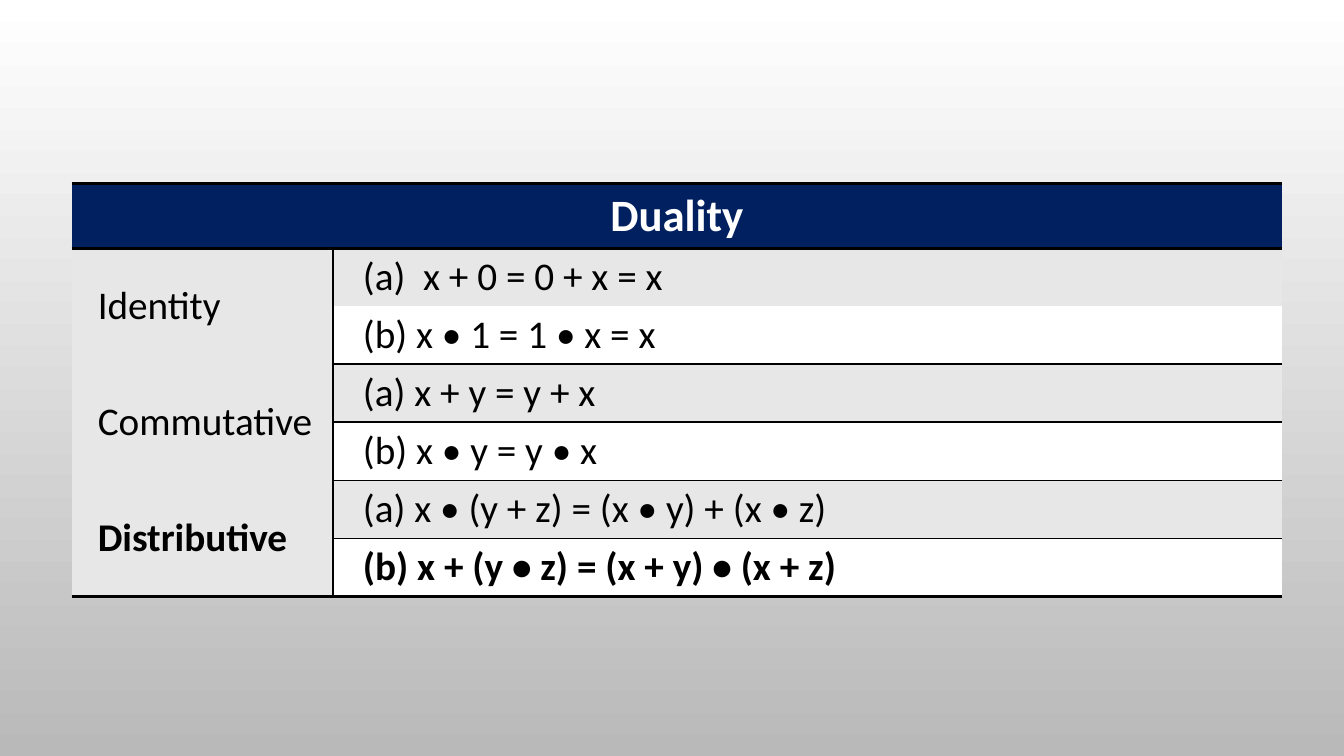
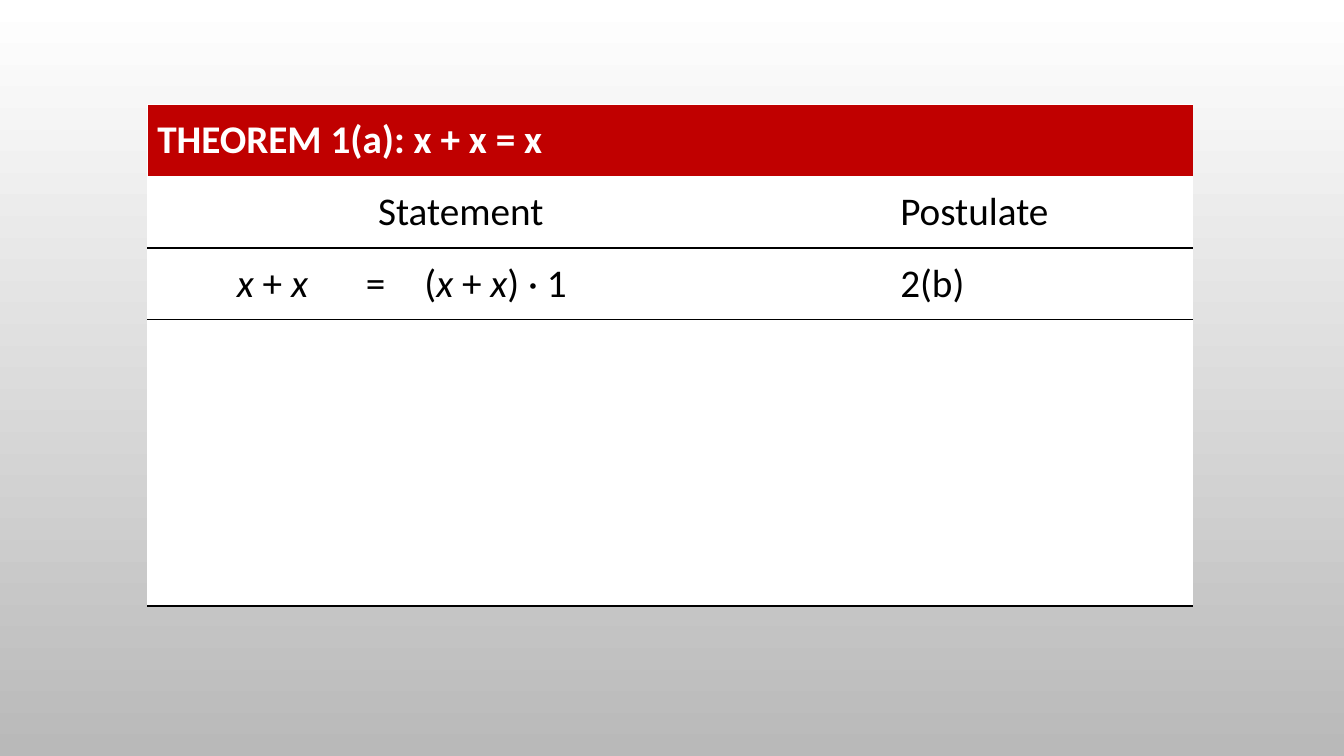
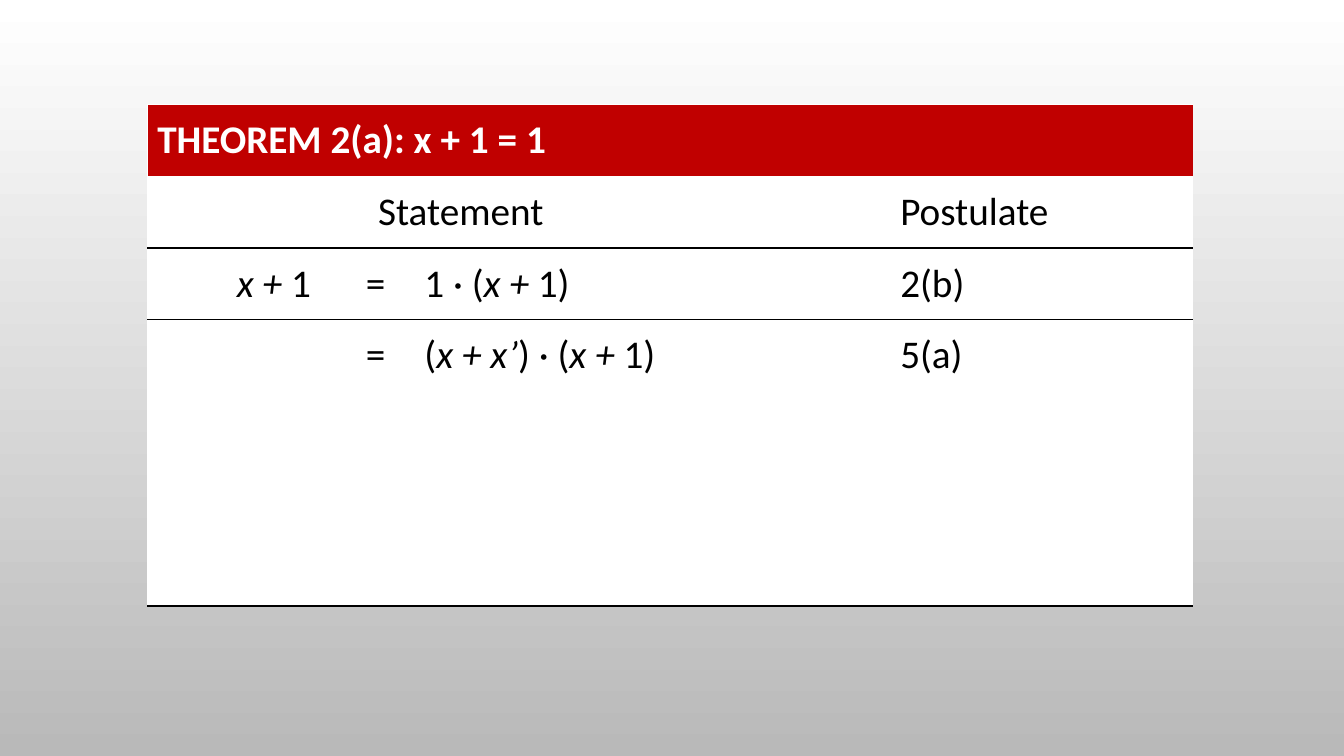
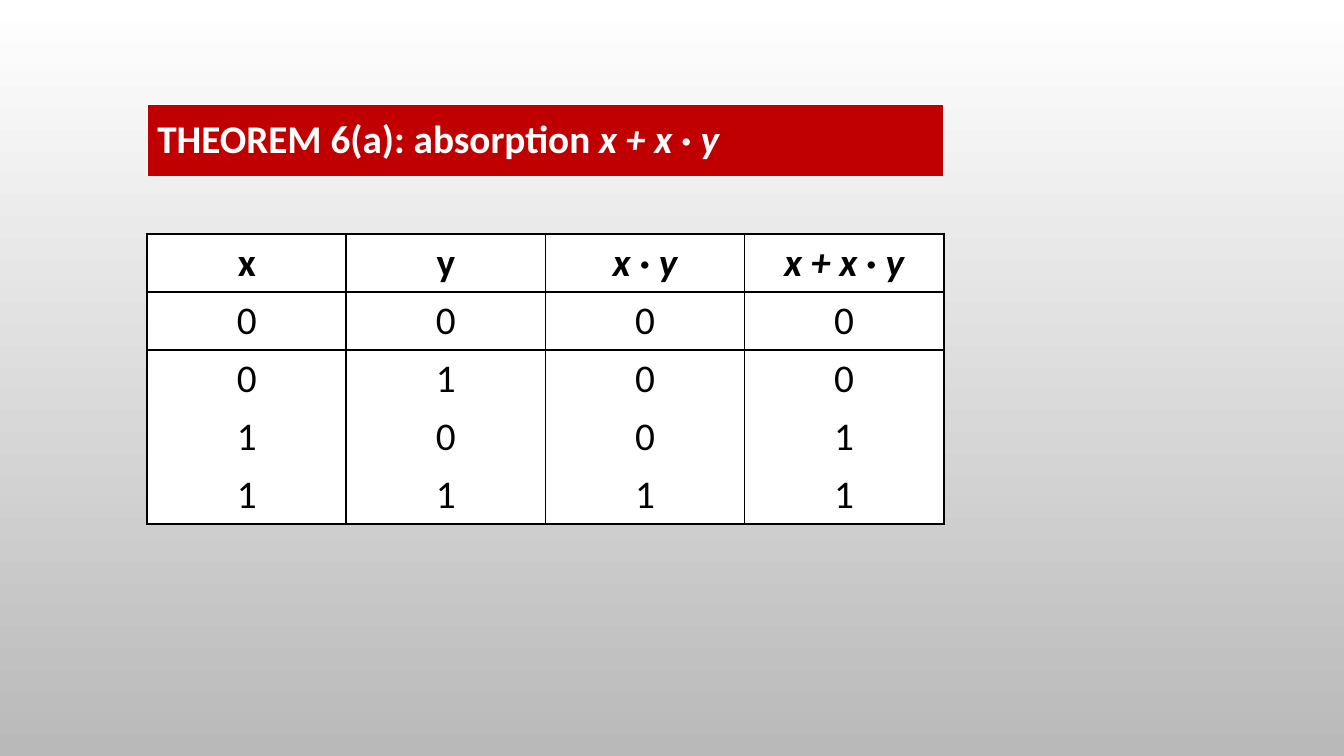
from dataclasses import dataclass
from typing import Iterable

from lxml import etree
from pptx import Presentation
from pptx.dml.color import RGBColor
from pptx.enum import text
from pptx.oxml import ns
from pptx.slide import Slide
from pptx.table import Table, _Cell
from pptx.util import Inches, Pt

WHITE = RGBColor(0xFF, 0xFF, 0xFF)
BLACK = RGBColor(0, 0, 0)
GREY = RGBColor(0xB9, 0xB9, 0xB9)
PALE = RGBColor(0xE7, 0xE7, 0xE7)
NAVY = RGBColor(0, 0x20, 0x60)
RED = RGBColor(0xC0, 0, 0)

FONT = "Calibri"
PAD = 0.1
LEFT, TOP = 1.46, 1.04
BAR = 0.71
ROW = 0.57
PLAIN = "{2D5ABB26-0587-4C30-8999-92F81FD0307C}"  # no style, no grid
ORDER = [ns.qn(f"a:ln{side}") for side in "LRTB"]


@dataclass
class Look:
    size: int = 28
    color: RGBColor = BLACK
    bold: bool = False
    center: bool = False
    left: float = PAD


@dataclass
class Law:
    name: str
    forms: tuple[str, str]
    bold: tuple[bool, bool, bool] = (False, False, False)


@dataclass
class Step:
    right: str
    rule: str
    left: str = ""


@dataclass
class Proof:
    title: str
    steps: list[Step]


LAWS = [
    Law("Identity", ("(a)  x + 0 = 0 + x = x", "(b) x • 1 = 1 • x = x")),
    Law("Commutative", ("(a) x + y = y + x", "(b) x • y = y • x")),
    Law("Distributive",
        ("(a) x • (y + z) = (x • y) + (x • z)",
         "(b) x + (y • z) = (x + y) • (x + z)"), (True, False, True)),
]
PROOFS = [
    Proof("THEOREM 1(a): x + x = x",
          [Step("(*x* + *x*) · 1", "2(b)", "*x* + *x*")]),
    Proof("THEOREM 2(a): x + 1 = 1",
          [Step("1 · (*x +* 1)", "2(b)", "*x +* 1"),
           Step("(*x + x’*) · (*x +* 1)", "5(a)")]),
]
TRUTH = [
    ("x", "y", "*x* · *y*", "*x + x* · *y*"),
    ("0", "0", "0", "0"),
    ("0", "1", "0", "0"),
    ("1", "0", "0", "1"),
    ("1", "1", "1", "1"),
]


def grid(slide: Slide, left: float, top: float, cols: list[float],
         rows: list[float]) -> Table:
    """Add a table with white cells and no lines."""
    table = slide.shapes.add_table(
        len(rows), len(cols), Inches(left), Inches(top),
        Inches(sum(cols)), Inches(sum(rows))).table
    table.first_row = table.horz_banding = False
    table._tbl.tblPr.find(ns.qn("a:tableStyleId")).text = PLAIN
    for col, width in zip(table.columns, cols):
        col.width = Inches(width)
    for row, height in zip(table.rows, rows):
        row.height = Inches(height)
    paint(table.iter_cells(), WHITE)
    return table


def paint(cells: Iterable[_Cell], color: RGBColor) -> None:
    for cell in cells:
        cell.fill.solid()
        cell.fill.fore_color.rgb = color


def rule(cells: Iterable[_Cell], sides: str, width: float = 1.5,
         color: RGBColor = BLACK) -> None:
    """Draw borders on the given sides (letters from LRTB)."""
    for cell in cells:
        props = cell._tc.get_or_add_tcPr()
        for side in sides:
            line = etree.SubElement(props, ns.qn(f"a:ln{side}"), w=str(Pt(width)))
            fill = etree.SubElement(line, ns.qn("a:solidFill"))
            etree.SubElement(fill, ns.qn("a:srgbClr"), val=str(color))
        props[:] = sorted(props, key=lambda item: ORDER.index(item.tag)
                          if item.tag in ORDER else len(ORDER))


def write(cell: _Cell, words: str, look: Look) -> None:
    """Fill a cell with text; words between asterisks are italic."""
    cell.vertical_anchor = text.MSO_ANCHOR.MIDDLE
    cell.margin_left = Inches(look.left)
    para = cell.text_frame.paragraphs[0]
    if look.center:
        para.alignment = text.PP_ALIGN.CENTER
    for spot, part in enumerate(words.split("*")):
        if part:
            run = para.add_run()
            run.text = part
            font = run.font
            font.name, font.size = FONT, Pt(look.size)
            font.bold, font.italic = look.bold, spot % 2 == 1
            font.color.rgb = look.color


def line(table: Table, row: int) -> list[_Cell]:
    """List the cells of one row."""
    return list(table.rows[row].cells)


def banner(table: Table, title: str) -> None:
    """Turn the first row into a red title bar."""
    cells = line(table, 0)
    if len(cells) > 1:
        cells[0].merge(cells[-1])
    paint(cells, RED)
    rule(cells[:1], "L", 1, WHITE)
    rule(cells[-1:], "R", 1, WHITE)
    rule(cells, "T", 1, WHITE)
    write(cells[0], title, Look(color=WHITE, bold=True))


def duality(slide: Slide) -> None:
    count = 2 * len(LAWS)
    table = grid(slide, 0.71, 1.82, [2.59, 9.42], [0.64] + [ROW] * count)
    head = line(table, 0)
    head[0].merge(head[1])
    paint(head, NAVY)
    rule(head, "TB", 2)
    write(head[0], "Duality", Look(32, WHITE, bold=True, center=True))
    for spot, law in enumerate(LAWS):
        top = 1 + 2 * spot
        names = [table.cell(top + k, 0) for k in range(2)]
        forms = [table.cell(top + k, 1) for k in range(2)]
        names[0].merge(names[1])
        paint(names + forms[:1], PALE)
        rule(names, "R")
        rule(forms, "L")
        write(names[0], law.name, Look(bold=law.bold[0], left=0.26))
        for cell, words, bold in zip(forms, law.forms, law.bold[1:]):
            write(cell, words, Look(bold=bold, left=0.3))
        if spot:
            rule(forms, "T")
        if spot == len(LAWS) - 1:
            rule(names + forms[1:], "B", 2)


def proof(slide: Slide, item: Proof) -> None:
    table = grid(slide, LEFT, TOP, [2.07, 0.58, 3.57, 1.15, 3], [BAR] * 7)
    banner(table, item.title)
    heads = line(table, 1)
    heads[0].merge(heads[2])
    rule(heads, "B")
    rule(line(table, 2), "T")
    rule(line(table, 6), "B")
    write(heads[0], "Statement", Look(center=True))
    write(heads[4], "Postulate", Look())
    for row, step in enumerate(item.steps, 2):
        cells = line(table, row)
        if step.left:
            write(cells[0], step.left, Look(left=0.89))
        for col, words in ((1, "="), (2, step.right), (4, step.rule)):
            write(cells[col], words, Look())


def truth(slide: Slide) -> None:
    wide = 7.9
    banner(grid(slide, LEFT, TOP, [wide], [BAR]),
           "THEOREM 6(a): absorption *x + x* · *y*")
    count = len(TRUTH[0])
    table = grid(slide, LEFT, 2.32, [wide / count] * count, [ROW] * len(TRUTH))
    for row, words in enumerate(TRUTH):
        cells = line(table, row)
        for cell, word in zip(cells, words):
            write(cell, word, Look(bold=row == 0, center=True))
        rule(cells, "LR")
    rule(line(table, 0), "TB")
    rule(line(table, 1), "T")
    rule(line(table, len(TRUTH) - 1), "B")


def main() -> None:
    deck = Presentation()
    deck.slide_width, deck.slide_height = Inches(13.33), Inches(7.5)
    back = deck.slide_master.background.fill
    back.gradient()
    back.gradient_angle = 270
    for stop, color in zip(back.gradient_stops, (WHITE, GREY)):
        stop.color.rgb = color
    blank = deck.slide_layouts[6]
    duality(deck.slides.add_slide(blank))
    for item in PROOFS:
        proof(deck.slides.add_slide(blank), item)
    truth(deck.slides.add_slide(blank))
    deck.save("out.pptx")


if __name__ == "__main__":
    main()
